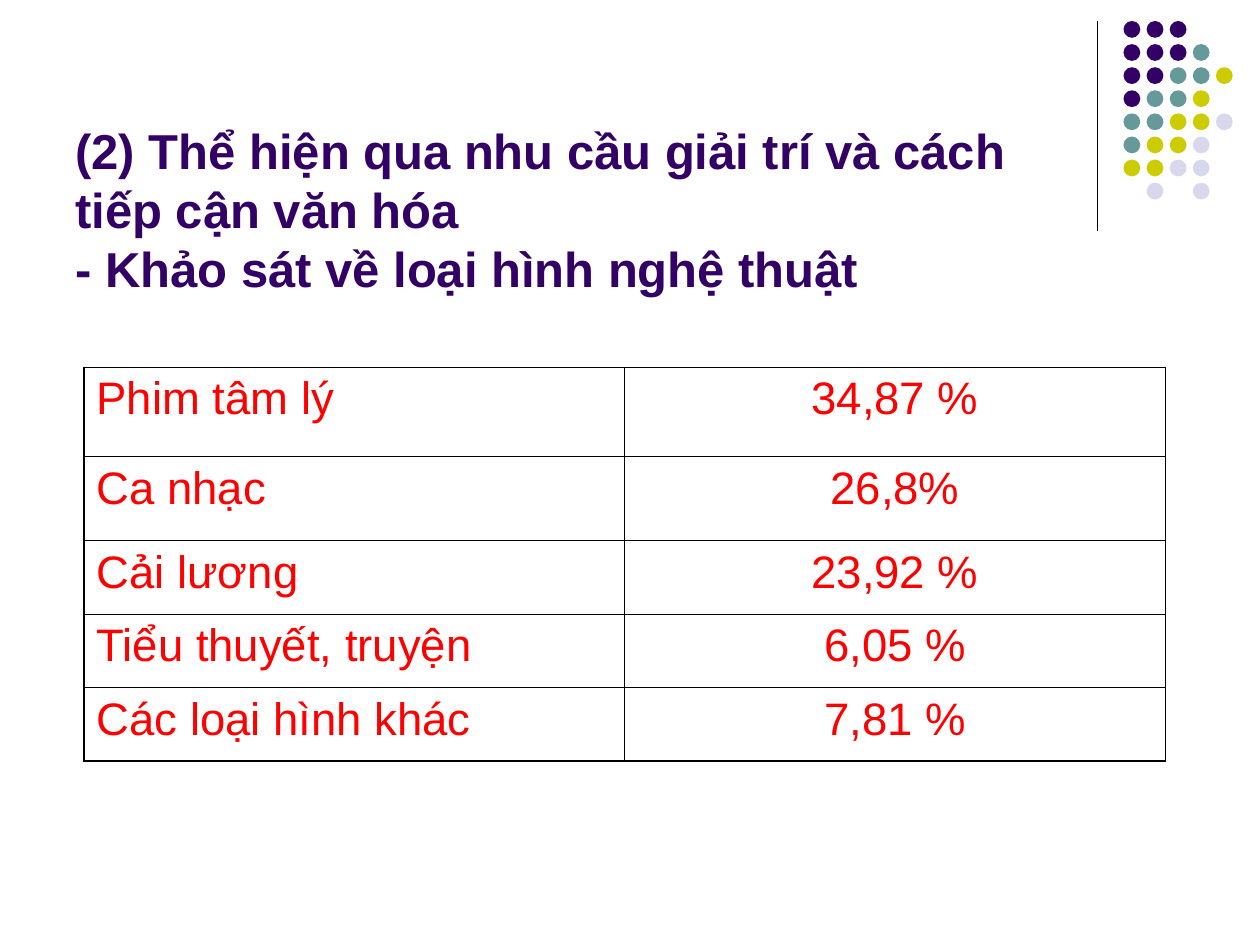
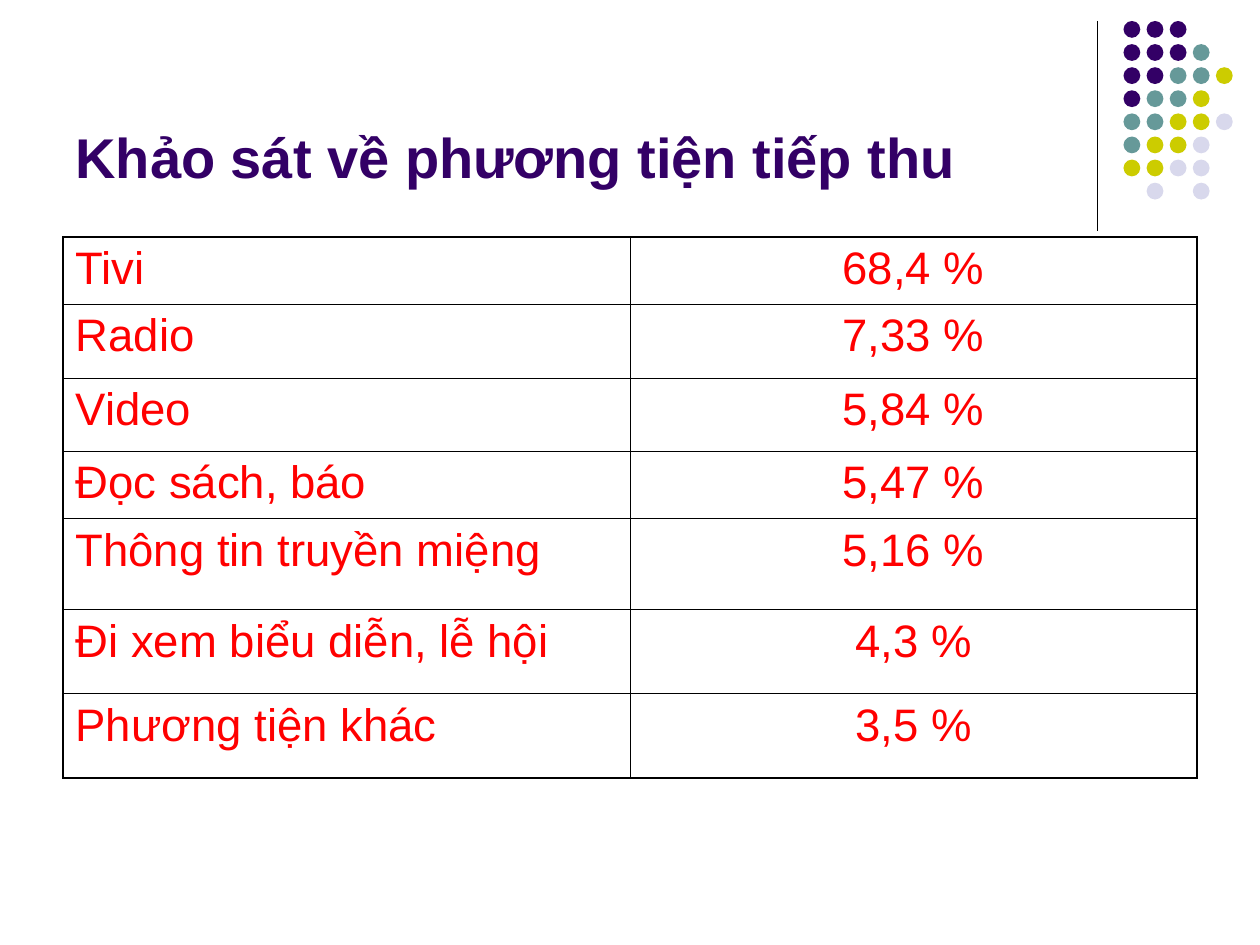
from lxml.etree import SubElement
from pptx import Presentation
from pptx.dml.color import RGBColor
from pptx.enum.shapes import MSO_CONNECTOR as Connector, MSO_SHAPE as Shape
from pptx.enum.text import MSO_ANCHOR as Anchor, PP_ALIGN as Align
from pptx.oxml.ns import qn
from pptx.util import Pt

# Content: row heights stand beside each row
SURVEYS = [
    {
        "title": "(2) Thể hiện qua nhu cầu giải trí và cách tiếp cận văn hóa\v"
                 "- Khảo sát về loại hình nghệ thuật",
        "title_size": 28,
        "title_height": 164,
        "table_at": (48, 210),
        "column_width": 309,
        "rows": [
            ("Phim tâm lý", "34,87 %", 51),
            ("Ca nhạc", "26,8%", 48),
            ("Cải lương", "23,92 %", 42),
            ("Tiểu thuyết, truyện", "6,05 %", 42),
            ("Các loại hình khác", "7,81 %", 42),
        ],
    },
    {
        "title": "Khảo sát về phương tiện tiếp thu",
        "title_size": 32,
        "title_height": 102.5,
        "table_at": (36, 135.5),
        "column_width": 324,
        "rows": [
            ("Tivi", "68,4 %", 38.5),
            ("Radio", "7,33 %", 42),
            ("Video", "5,84 %", 42),
            ("Đọc sách, báo", "5,47 %", 38.5),
            ("Thông tin truyền miệng", "5,16 %", 52),
            ("Đi xem biểu diễn, lễ hội", "4,3 %", 48),
            ("Phương tiện khác", "3,5 %", 48),
        ],
    },
]

# Shared look
FONT = "Arial"
PURPLE, RED, BLACK = "330066", "FF0000", "000000"
DOT_COLOURS = {"P": PURPLE, "T": "669999", "Y": "CCCC00", "L": "D8D8EC"}
DOT_ROWS = ["PPP", "PPPT", "PPTTY", "PTTY", "TTYYL", "TYYL", "YYLL", " L L"]
DOT_LEFT, DOT_TOP, DOT_STEP, DOT_SIZE = 642, 12, 13.2, 9.6
OUTER_LINE, INNER_LINE = 1.08, 0.45


def colour(value):
    return RGBColor.from_string(value)


def style_font(para, size, value, bold=False):
    font = para.font
    font.name, font.size, font.bold = FONT, Pt(size), bold
    font.color.rgb = colour(value)


def add_corner(page):
    """Vertical rule and the grid of dots beside it."""
    rule = page.shapes.add_connector(
        Connector.STRAIGHT, Pt(627), Pt(12), Pt(627), Pt(132))
    rule.line.color.rgb = colour(BLACK)
    rule.line.width = Pt(0.75)
    SubElement(rule._element.spPr, qn("a:effectLst"))

    dots = page.shapes.add_group_shape()
    for row, letters in enumerate(DOT_ROWS):
        for column, letter in enumerate(letters):
            if letter == " ":
                continue
            dot = dots.shapes.add_shape(
                Shape.OVAL, Pt(DOT_LEFT + column * DOT_STEP),
                Pt(DOT_TOP + row * DOT_STEP), Pt(DOT_SIZE), Pt(DOT_SIZE))
            dot.shadow.inherit = False
            dot.fill.solid()
            dot.fill.fore_color.rgb = colour(DOT_COLOURS[letter])
            dot.line.fill.background()


def add_title(page, text, size, height):
    box = page.shapes.add_textbox(Pt(36), Pt(9.5), Pt(594), Pt(height))
    frame = box.text_frame
    frame.word_wrap = True
    frame.vertical_anchor = Anchor.BOTTOM
    frame.text = text
    style_font(frame.paragraphs[0], size, PURPLE, bold=True)


def set_borders(cell, outer_sides):
    properties = cell._tc.get_or_add_tcPr()
    for side in "LRTB":
        width = OUTER_LINE if side in outer_sides else INNER_LINE
        line = SubElement(properties, qn(f"a:ln{side}"), w=str(Pt(width)))
        fill = SubElement(line, qn("a:solidFill"))
        SubElement(fill, qn("a:srgbClr"), val=BLACK)


def add_survey_table(page, rows, at, column_width):
    left, top = at
    height = sum(row[2] for row in rows)
    table = page.shapes.add_table(
        len(rows), 2, Pt(left), Pt(top), Pt(2 * column_width), Pt(height)).table
    table.first_row = table.horz_banding = False
    for column in table.columns:
        column.width = Pt(column_width)

    for index, (label, share, row_height) in enumerate(rows):
        table.rows[index].height = Pt(row_height)
        edges = ("T" if index == 0 else "") + ("B" if index == len(rows) - 1 else "")
        parts = [(label, Align.LEFT, "L"), (share, Align.CENTER, "R")]
        for column, (text, align, side) in enumerate(parts):
            cell = table.cell(index, column)
            set_borders(cell, edges + side)
            cell.fill.background()
            cell.text = text
            para = cell.text_frame.paragraphs[0]
            para.alignment = align
            style_font(para, 26, RED)


def main():
    deck = Presentation()
    deck.slide_width, deck.slide_height = Pt(720), Pt(540)
    for survey in SURVEYS:
        page = deck.slides.add_slide(deck.slide_layouts[6])
        add_corner(page)
        add_title(page, survey["title"], survey["title_size"], survey["title_height"])
        add_survey_table(
            page, survey["rows"], survey["table_at"], survey["column_width"])
    deck.save("out.pptx")


if __name__ == "__main__":
    main()
